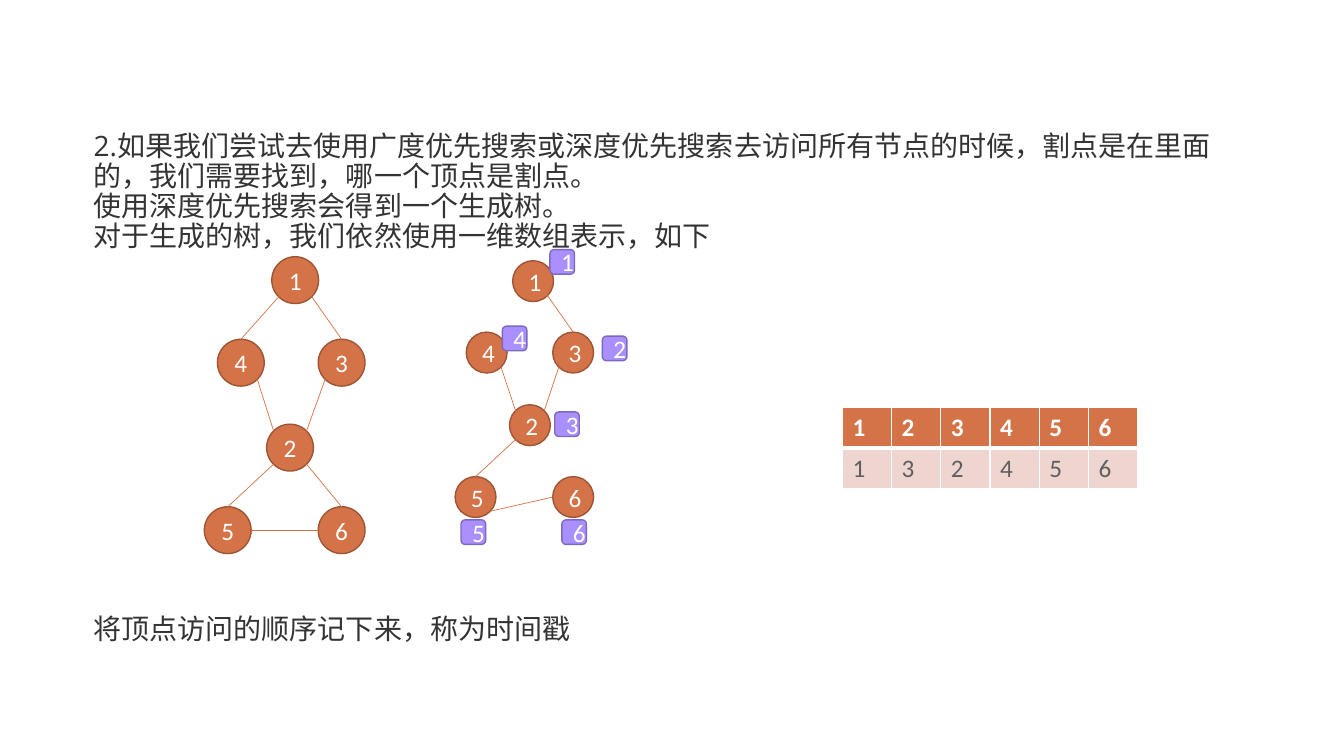
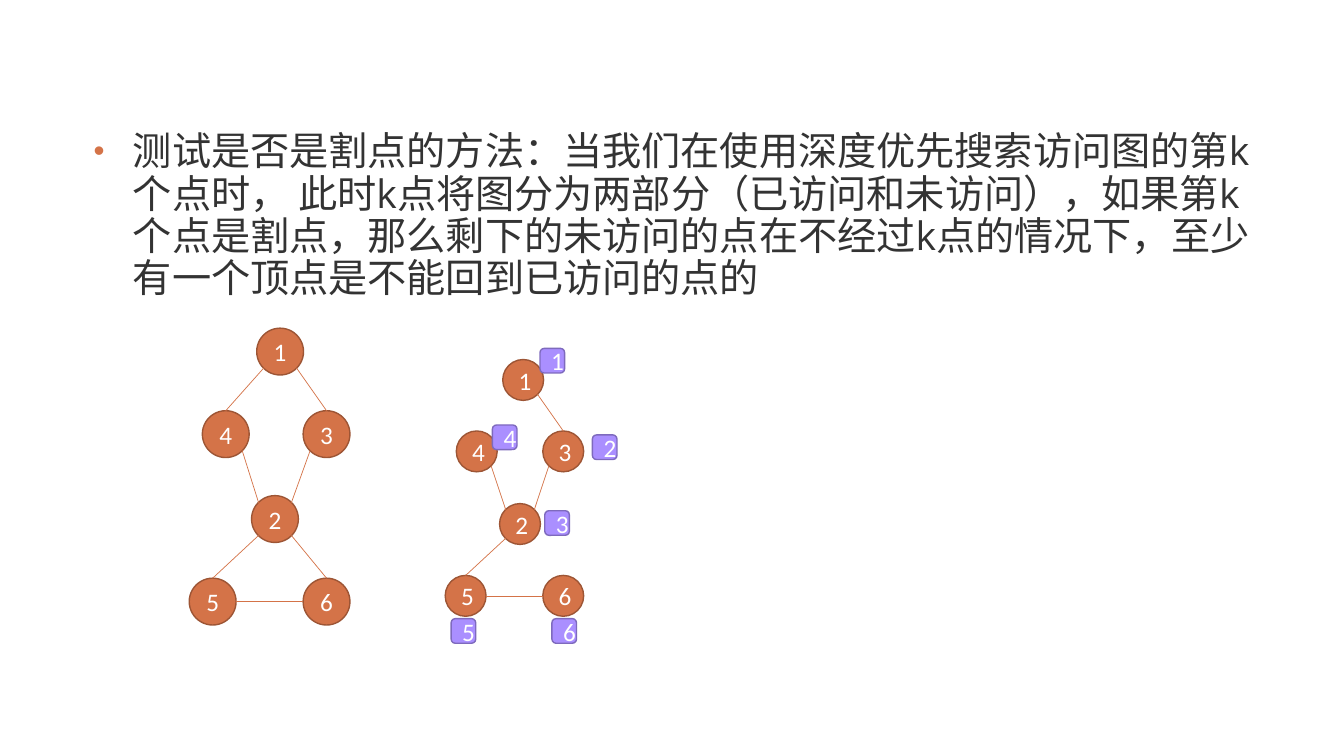
from dataclasses import dataclass

from lxml.etree import SubElement
from pptx import Presentation
from pptx.dml.color import RGBColor
from pptx.enum.shapes import MSO_CONNECTOR, MSO_SHAPE
from pptx.enum.text import MSO_ANCHOR, PP_ALIGN
from pptx.oxml.ns import qn
from pptx.util import Cm, Pt


@dataclass(frozen=True)
class Theme:
    ink: str = "333333"
    accent: str = "D47348"
    accent_edge: str = "9D5535"
    stamp: str = "AA8FFF"
    stamp_edge: str = "7E6ABD"
    white: str = "FFFFFF"
    row_fill: str = "EFD5CF"
    row_ink: str = "5F5F5F"
    body_font: str = "Open Sans"
    label_font: str = "Calibri"
    label_size: int = 18
    note_size: int = 20
    point_size: int = 28
    line_spacing: float = 0.9


THEME = Theme()
NOTE_BOX = (2.11, 3.2, 29.2, 14.45)
POINT_BOX = (2.11, 3.2, 29.67, 14.45)
SITES = {
    "top": (0.5, 0),
    "left": (0, 0.5),
    "right": (1, 0.5),
    "top left": (0.15, 0.15),
    "top right": (0.85, 0.15),
    "bottom left": (0.15, 0.85),
    "bottom right": (0.85, 0.85),
}

GRAPH_NODE = 1.18
GRAPH_NODES = {
    1: (1.7, 0),
    4: (0.33, 2.08),
    3: (2.87, 2.08),
    2: (1.57, 4.22),
    5: (0, 6.3),
    6: (2.87, 6.3),
}
GRAPH_EDGES = [
    (1, "bottom left", 4, "top"),
    (1, "bottom right", 3, "top"),
    (4, "bottom right", 2, "top left"),
    (3, "bottom left", 2, "top right"),
    (2, "bottom left", 5, "top"),
    (2, "bottom right", 6, "top"),
    (5, "right", 6, "left"),
]

TREE_NODE = 1.03
TREE_NODES = {
    1: (1.45, 0.28),
    4: (0.28, 2.08),
    3: (2.46, 2.08),
    2: (1.37, 3.91),
    5: (0, 5.72),
    6: (2.46, 5.72),
}
TREE_EDGES = [
    (1, "bottom right", 3, "top"),
    (4, "bottom right", 2, "top left"),
    (3, "bottom left", 2, "top right"),
    (2, "bottom left", 5, "top"),
]
STAMP = 0.62
STAMPS = {
    1: (2.39, 0),
    6: (2.69, 6.81),
    2: (3.71, 2.18),
    4: (1.19, 1.93),
    3: (2.51, 4.09),
    5: (0.15, 6.81),
}
VISIT_ORDER = [(1, 2, 3, 4, 5, 6), (1, 3, 2, 4, 5, 6)]


def rgb(value):
    return RGBColor.from_string(value)


def style(paragraph, font, size, color, bold=False):
    for run in paragraph.runs:
        run.font.name = font
        run.font.size = Pt(size)
        run.font.color.rgb = rgb(color)
        run.font.bold = bold


def add_line(shapes, start, end):
    line = shapes.add_connector(
        MSO_CONNECTOR.STRAIGHT, *(Cm(value) for value in (*start, *end))
    )
    line.line.color.rgb = rgb(THEME.accent)
    line.line.width = Pt(0.5)
    SubElement(line._element.spPr, qn("a:effectLst"))


def add_label(shapes, preset, left, top, size, number, fill, edge):
    label = shapes.add_shape(preset, Cm(left), Cm(top), Cm(size), Cm(size))
    label.shadow.inherit = False
    label.fill.solid()
    label.fill.fore_color.rgb = rgb(fill)
    label.line.color.rgb = rgb(edge)
    label.line.width = Pt(1)
    frame = label.text_frame
    frame.text = str(number)
    frame.vertical_anchor = MSO_ANCHOR.MIDDLE
    frame.paragraphs[0].alignment = PP_ALIGN.CENTER
    style(frame.paragraphs[0], THEME.label_font, THEME.label_size, THEME.white)


def add_network(slide, left, top, nodes, size, edges):
    shapes = slide.shapes.add_group_shape().shapes

    def site(node, name):
        x, y = nodes[node]
        across, down = SITES[name]
        return left + x + across * size, top + y + down * size

    for number, (x, y) in nodes.items():
        add_label(shapes, MSO_SHAPE.OVAL, left + x, top + y, size, number,
                  THEME.accent, THEME.accent_edge)
    for start, start_site, end, end_site in edges:
        add_line(shapes, site(start, start_site), site(end, end_site))
    return shapes


def add_graph(slide, left, top):
    add_network(slide, left, top, GRAPH_NODES, GRAPH_NODE, GRAPH_EDGES)


def add_search_tree(slide, left, top, last_site):
    edges = TREE_EDGES + [(5, last_site, 6, "left")]
    shapes = add_network(slide, left, top, TREE_NODES, TREE_NODE, edges)
    for number, (x, y) in STAMPS.items():
        add_label(shapes, MSO_SHAPE.ROUNDED_RECTANGLE, left + x, top + y, STAMP,
                  number, THEME.stamp, THEME.stamp_edge)


def add_body(slide, box, texts, size):
    body = slide.shapes.add_textbox(*(Cm(value) for value in box)).text_frame
    body.word_wrap = True
    body.text = "\n".join(texts)
    for paragraph in body.paragraphs:
        paragraph.line_spacing = THEME.line_spacing
        style(paragraph, THEME.body_font, size, THEME.ink)
    return body.paragraphs


def add_bullet(paragraph, indent):
    properties = paragraph._p.get_or_add_pPr()
    properties.set("marL", str(Cm(indent)))
    properties.set("indent", str(-Cm(indent)))
    color = SubElement(properties, qn("a:buClr"))
    SubElement(color, qn("a:srgbClr"), val=THEME.accent)
    SubElement(properties, qn("a:buSzPct"), val="80000")
    SubElement(properties, qn("a:buFont"), typeface="Arial")
    SubElement(properties, qn("a:buChar"), char="•")


def add_cell_borders(cell, bottom):
    properties = cell._tc.get_or_add_tcPr()
    for side, width in (("lnL", 1), ("lnR", 1), ("lnT", 1), ("lnB", bottom)):
        border = SubElement(properties, qn(f"a:{side}"), w=str(Pt(width)))
        fill = SubElement(border, qn("a:solidFill"))
        SubElement(fill, qn("a:srgbClr"), val=THEME.white)


def add_order_table(slide, left, top, column, row):
    columns = len(VISIT_ORDER[0])
    rows = len(VISIT_ORDER)
    table = slide.shapes.add_table(
        rows, columns, Cm(left), Cm(top), Cm(column * columns), Cm(row * rows)
    ).table
    for row_index, numbers in enumerate(VISIT_ORDER):
        header = row_index == 0
        for column_index, number in enumerate(numbers):
            cell = table.cell(row_index, column_index)
            cell.text = str(number)
            add_cell_borders(cell, 3 if header else 1)
            cell.fill.solid()
            cell.fill.fore_color.rgb = rgb(THEME.accent if header else THEME.row_fill)
            style(cell.text_frame.paragraphs[0], THEME.label_font, THEME.label_size,
                  THEME.white if header else THEME.row_ink, header)


def build_timestamp_slide(slide):
    paragraphs = add_body(slide, NOTE_BOX, [
        "2.如果我们尝试去使用广度优先搜索或深度优先搜索去访问所有节点的时候，割点是在里面的，我们需要找到，哪一个顶点是割点。",
        "使用深度优先搜索会得到一个生成树。",
        "对于生成的树，我们依然使用一维数组表示，如下",
        "将顶点访问的顺序记下来，称为时间戳",
    ], THEME.note_size)
    paragraphs[-1].space_before = Pt(259)
    add_graph(slide, 5.15, 6.47)
    add_search_tree(slide, 11.47, 6.29, "bottom right")
    add_order_table(slide, 21.23, 10.26, 1.24, 1.03)


def build_cut_test_slide(slide):
    paragraphs = add_body(slide, POINT_BOX, [
        "测试是否是割点的方法：当我们在使用深度优先搜索访问图的第k个点时， 此时k点将图分为两部分（已访问和未访问），"
        "如果第k个点是割点，那么剩下的未访问的点在不经过k点的情况下，至少有一个顶点是不能回到已访问的点的",
    ], THEME.point_size)
    add_bullet(paragraphs[0], 0.99)
    add_graph(slide, 4.77, 8.27)
    add_search_tree(slide, 11.22, 8.78, "right")


def main():
    deck = Presentation()
    deck.slide_width = Cm(33.87)
    deck.slide_height = Cm(19.05)
    for build in (build_timestamp_slide, build_cut_test_slide):
        build(deck.slides.add_slide(deck.slide_layouts[6]))
    deck.save("out.pptx")


if __name__ == "__main__":
    main()
